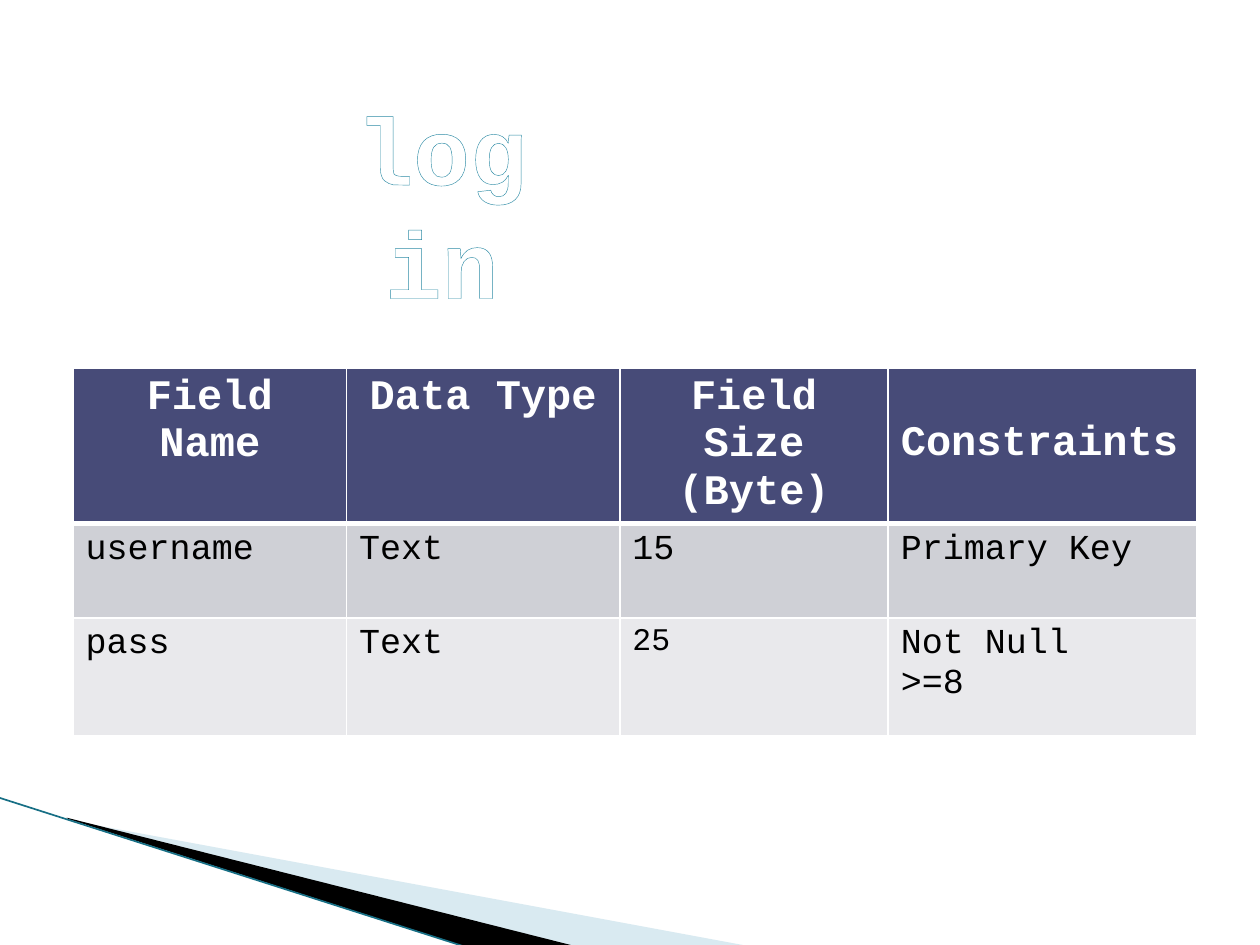
from lxml import etree
from pptx import Presentation
from pptx.dml.color import RGBColor
from pptx.enum.shapes import MSO_CONNECTOR
from pptx.enum.text import MSO_AUTO_SIZE, PP_ALIGN
from pptx.oxml import parse_xml
from pptx.oxml.ns import nsdecls, qn
from pptx.util import Inches, Pt

FONT = "Courier New"
COLORS = {
    "white": "FFFFFF", "black": "000000", "pale": "A0CBDC", "edge": "176F85",
    "head": "474B78", "odd": "CFD0D6", "even": "E9E9EC", "rim": "2D8BA5",
}


def color(name):
    return RGBColor.from_string(COLORS[name])


def write(para, text, size, tint, bold):
    run = para.add_run()
    run.text = text
    run.font.name = FONT
    run.font.size = Pt(size)
    run.font.bold = bold
    run.font.color.rgb = color(tint)
    return run


deck = Presentation()
deck.slide_width, deck.slide_height = Inches(10), Inches(7.5)
slide = deck.slides.add_slide(deck.slide_layouts[6])
shapes = slide.shapes

# Corner wedges, whose outlines reach past their frames
wedges = [
    ("pale", (0.78, 5.47, 4.16, 1.58),
     [(0.55, 6.51), (5.95, 7.51), (4.56, 7.51), (0.55, 6.5)]),
    ("black", (-0.06, 6.33, 4.16, 0.92),
     [(0.53, 6.49), (4.57, 7.51), (3.72, 7.52), (0.54, 6.5)]),
]
for tint, area, points in wedges:
    spots = [(Inches(x), Inches(y)) for x, y in points]
    pen = shapes.build_freeform(*spots[0])
    pen.add_line_segments(spots[1:], close=True)
    wedge = pen.convert_to_shape()
    wedge.shadow.inherit = False
    wedge.fill.solid()
    wedge.fill.fore_color.rgb = color(tint)
    wedge.line.fill.background()
    left, top, width, height = [Inches(v) for v in area]
    for spot in wedge._element.iter(qn("a:pt")):
        spot.set("x", str(int(spot.get("x")) + wedge.left - left))
        spot.set("y", str(int(spot.get("y")) + wedge.top - top))
    for line in wedge._element.iter(qn("a:path")):
        line.set("w", str(width))
        line.set("h", str(height))
    wedge.left, wedge.top, wedge.width, wedge.height = left, top, width, height
    if tint == "pale":
        shade = wedge._element.spPr.find(qn("a:solidFill"))[0]
        etree.SubElement(shade, qn("a:alpha"), val="40000")

# Corner edge
edge = shapes.add_connector(MSO_CONNECTOR.STRAIGHT, Inches(-0.01), Inches(6.33),
                            Inches(3.71), Inches(7.52))
edge.line.color.rgb = color("edge")
edge.line.width = Pt(0.95)
etree.SubElement(edge._element.spPr, qn("a:effectLst"))

# Field table
rows = [
    ["Field Name", "Data Type", "Field Size\n(Byte)", "Constraints"],
    ["username", "Text", "15", "Primary Key"],
    ["pass", "Text", "25", "Not Null\n>=8"],
]
fills = ["head", "odd", "even"]
table = shapes.add_table(3, 4, Inches(0.58), Inches(2.92),
                         Inches(8.92), Inches(2.6)).table
for col, width in zip(table.columns, [2.17, 2.17, 2.13, 2.45]):
    col.width = Inches(width)
for row, height in zip(table.rows, [0.92, 0.75, 0.93]):
    row.height = Inches(height)

for i, row in enumerate(rows):
    for j, words in enumerate(row):
        cell = table.cell(i, j)
        cell.fill.solid()
        cell.fill.fore_color.rgb = color(fills[i])
        head = i == 0
        size = 24 if head else 18 if words == "25" else 20
        for k, text in enumerate(words.split("\n")):
            frame = cell.text_frame
            para = frame.add_paragraph() if k else frame.paragraphs[0]
            para.alignment = PP_ALIGN.CENTER if head and j < 3 else PP_ALIGN.LEFT
            write(para, text, size, "white" if head else "black", head)
        # Cell borders, heavier under the header
        wide = {"L": 1, "R": 1, "T": 3 if i == 1 else 1, "B": 3 if head else 1}
        for n, (side, width) in enumerate(wide.items()):
            cell._tc.get_or_add_tcPr().insert(n, parse_xml(
                f'<a:ln{side} {nsdecls("a")} w="{Pt(width)}"><a:solidFill>'
                f'<a:srgbClr val="{COLORS["white"]}"/></a:solidFill></a:ln{side}>'))
# The last heading sits one line lower
table.cell(0, 3).margin_top = Inches(0.42)

# Title
box = shapes.add_textbox(Inches(2.63), Inches(0.67), Inches(1.75), Inches(1.01))
frame = box.text_frame
frame.word_wrap = True
frame.auto_size = MSO_AUTO_SIZE.SHAPE_TO_FIT_TEXT
para = frame.paragraphs[0]
para.alignment = PP_ALIGN.CENTER
title = write(para, "login", 54, "white", True)
title.font._element.insert(0, parse_xml(
    f'<a:ln {nsdecls("a")} w="{Pt(2.48)}"><a:solidFill>'
    f'<a:srgbClr val="{COLORS["rim"]}"/></a:solidFill></a:ln>'))

deck.save("out.pptx")
